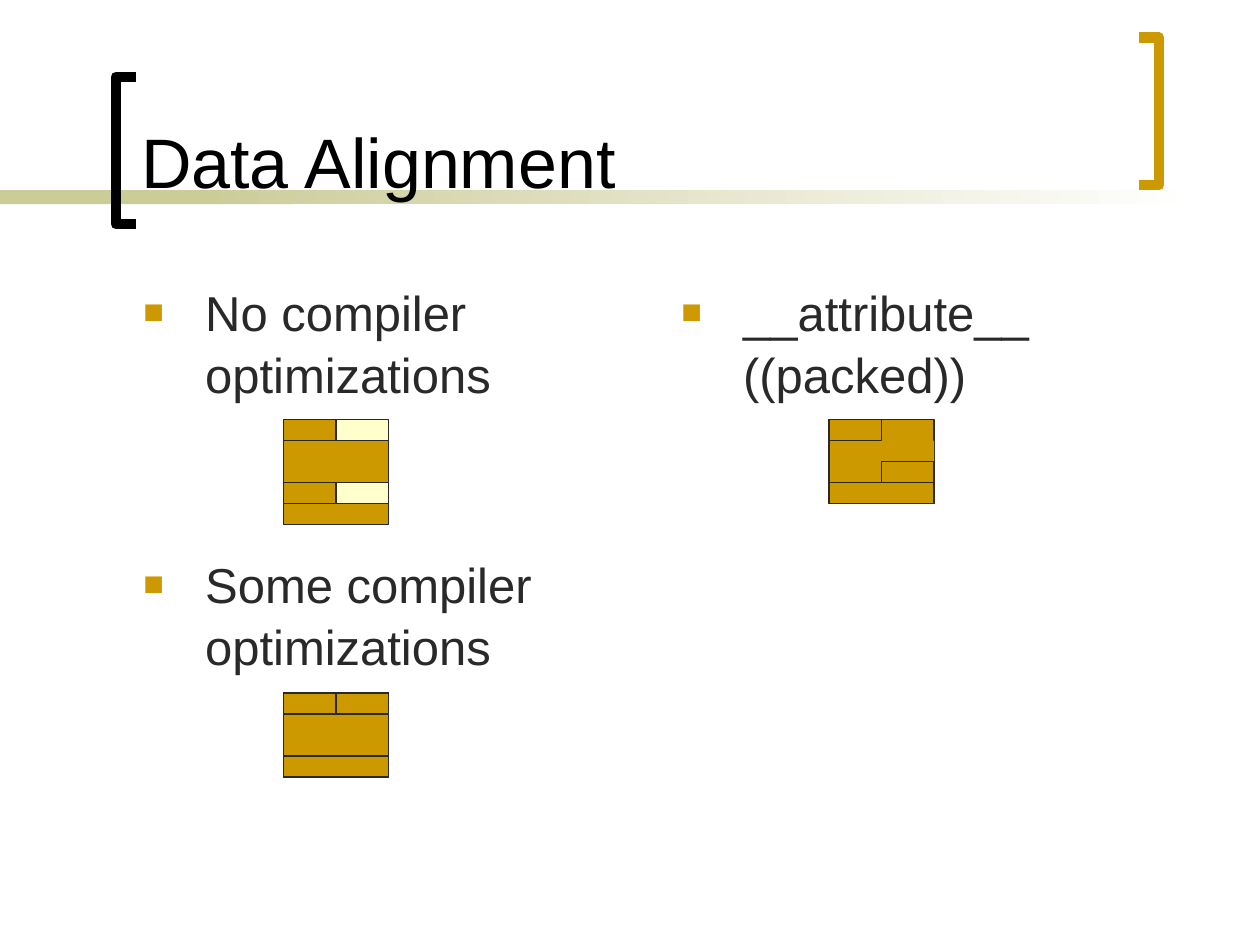
import pptx
import pptx.util
import pptx.dml.color
import pptx.enum.shapes
import pptx.enum.text
import pptx.oxml
import pptx.oxml.ns

Inch = pptx.util.Inches
Pt = pptx.util.Pt
qn = pptx.oxml.ns.qn
RECT = pptx.enum.shapes.MSO_SHAPE.RECTANGLE
GOLD, CREAM, SAND, INK = "CC9900", "FFFFCC", "CCCC99", "292929"


def hue(code):
    return pptx.dml.color.RGBColor.from_string(code)


def write(frame, text, size=28, color=INK, anchor="TOP", bullet=None):
    frame.word_wrap = True
    frame.auto_size = pptx.enum.text.MSO_AUTO_SIZE.NONE
    frame.vertical_anchor = getattr(pptx.enum.text.MSO_ANCHOR, anchor)
    para = frame.paragraphs[0]
    para.alignment = pptx.enum.text.PP_ALIGN.LEFT
    run = para.add_run()
    run.text = text
    run.font.name, run.font.size = "Arial", Pt(size)
    run.font.color.rgb = hue(color)
    if bullet:
        para.space_before = Pt(7)
        para.line_spacing = 1.05
        props = para._p.get_or_add_pPr()
        props.set("marL", str(Inch(0.49)))
        props.set("indent", str(-Inch(0.49)))
        mark = props.makeelement(qn("a:buClr"), {})
        mark.append(mark.makeelement(qn("a:srgbClr"), {"val": GOLD}))
        props.append(mark)
        props.append(props.makeelement(qn("a:buSzPct"), {"val": "70000"}))
        props.append(props.makeelement(qn("a:buFont"), {"typeface": "Arial"}))
        props.append(props.makeelement(qn("a:buChar"), {"char": bullet}))


deck = pptx.Presentation()
deck.slide_width, deck.slide_height = Inch(10), Inch(7.5)
slide = deck.slides.add_slide(deck.slide_layouts[5])
shapes = slide.shapes

for left, wide in [(0, 2.33), (1.58, 7.92)]:
    bar = shapes.add_shape(RECT, Inch(left), Inch(1.51), Inch(wide), Inch(0.11))
    bar.shadow.inherit = False
    bar.line.fill.background()
    if left == 0:
        bar.fill.solid()
        bar.fill.fore_color.rgb = hue(SAND)
    else:
        bar.fill.gradient()
        bar.fill.gradient_angle = 0
        for stop, code in zip(bar.fill.gradient_stops, [SAND, "FFFFFF"]):
            stop.color.rgb = hue(code)

for tip, back, top, code in [(1.08, 0.92, 0.61, "000000"), (9.04, 9.2, 0.3, GOLD)]:
    low = top + 1.17
    pen = shapes.build_freeform(Inch(tip), Inch(top))
    pen.add_line_segments(
        [(Inch(x), Inch(y)) for x, y in [(back, top), (back, low), (tip, low)]],
        close=False)
    hook = pen.convert_to_shape()
    hook.shadow.inherit = False
    hook.fill.background()
    hook.line.color.rgb = hue(code)
    hook.line.width = Pt(6)

title = shapes.title
title.left, title.top = Inch(1.02), Inch(0.11)
title.width, title.height = Inch(7.83), Inch(1.55)
shapes._spTree.append(title._element)
write(title.text_frame, "Data Alignment", size=40, color="000000", anchor="BOTTOM")

notes = [
    (1.04, 2.17, "No compiler optimizations"),
    (1.04, 4.33, "Some compiler optimizations"),
    (5.31, 2.17, "__attribute__ ((packed))"),
]
for left, top, text in notes:
    box = shapes.add_textbox(Inch(left), Inch(top), Inch(4.11), Inch(1.1))
    write(box.text_frame, text, bullet="■")

col, row = 5 / 12, 1 / 6
stacks = [
    (2.25, 3.33, [(0, 0, 2, 5, CREAM, INK), (0, 0, 1, 1, GOLD, INK),
                  (0, 1, 2, 2, GOLD, INK), (0, 3, 1, 1, GOLD, INK),
                  (0, 4, 2, 1, GOLD, INK)]),
    (2.25, 5.5, [(0, 0, 2, 4, CREAM, INK), (0, 0, 1, 1, GOLD, INK),
                 (0, 1, 2, 2, GOLD, INK), (1, 0, 1, 1, GOLD, INK),
                 (0, 3, 2, 1, GOLD, INK)]),
    (6.58, 3.33, [(0, 0, 2, 4, GOLD, INK), (0, 1, 2, 2, GOLD, None),
                  (1, 2, 1, 1, GOLD, INK), (0, 3, 2, 1, GOLD, INK),
                  (0, 0, 1, 1, GOLD, INK)]),
]
for left, top, cells in stacks:
    for x, y, wide, high, fill, edge in cells:
        cell = shapes.add_shape(RECT, Inch(left + x * col), Inch(top + y * row),
                                Inch(wide * col), Inch(high * row))
        cell.shadow.inherit = False
        cell.fill.solid()
        cell.fill.fore_color.rgb = hue(fill)
        if edge:
            cell.line.color.rgb = hue(edge)
            cell.line.width = Pt(0.75)
        else:
            cell.line.fill.background()

side = shapes.add_connector(pptx.enum.shapes.MSO_CONNECTOR.STRAIGHT,
                            Inch(6.58), Inch(3.33), Inch(6.58), Inch(3.33 + 3.5 * row))
side.line.color.rgb = hue(INK)
side.line.width = Pt(0.75)
look = side._element.spPr
look.append(look.makeelement(qn("a:effectLst"), {}))

deck.save("out.pptx")
